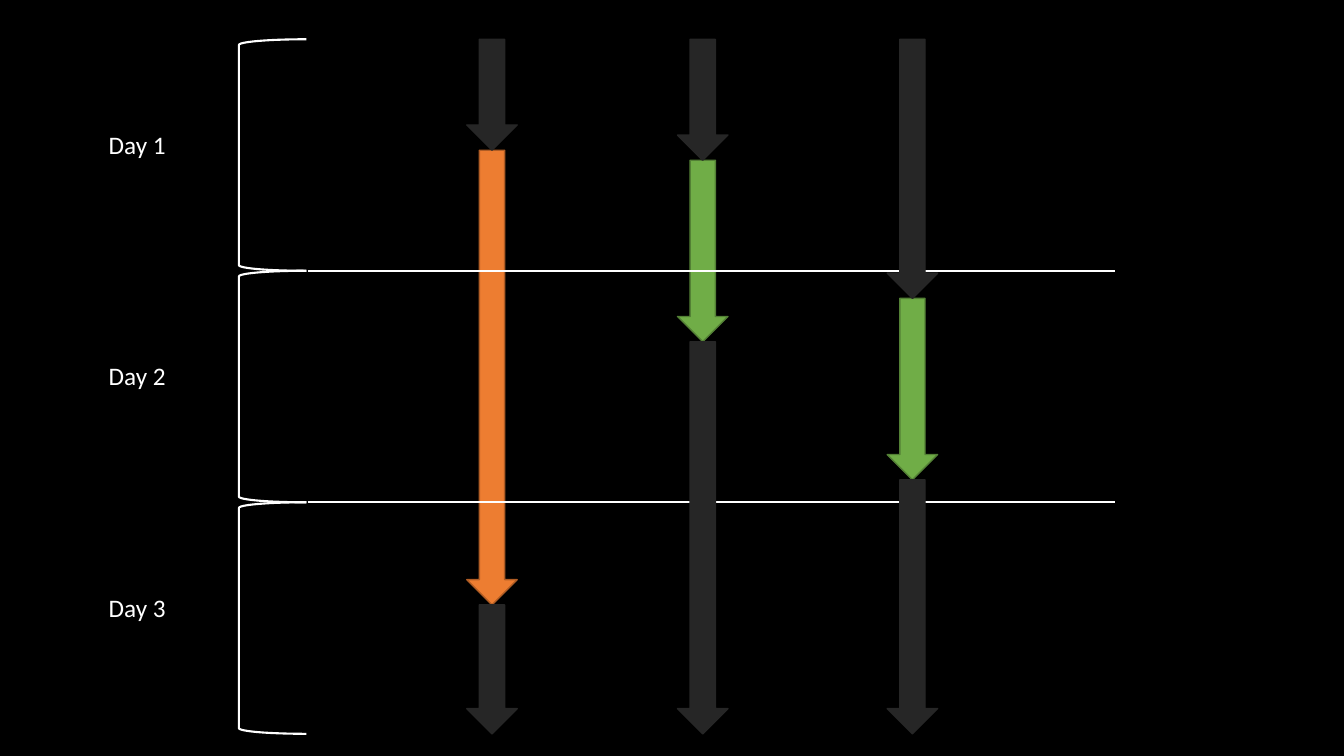
from lxml import etree
from pptx import Presentation
from pptx.dml.color import RGBColor
from pptx.enum.shapes import MSO_CONNECTOR, MSO_SHAPE
from pptx.oxml.ns import qn
from pptx.util import Inches, Pt

WHITE, BLACK, DARK = "FFFFFF", "000000", "262626"
ORANGE, GREEN = ("ED7D31", "AF5C24"), ("70AD47", "538035")
TOP, BOTTOM = 0.39, 7.28
DAY_HEIGHT = (BOTTOM - TOP) / 3
DAYS = ["Day 1", "Day 2", "Day 3"]
ARROW_WIDTH = 0.5
TRACKS = [
    (4.63, 1.49, 6.0, ORANGE),
    (6.72, 1.59, 3.39, GREEN),
    (8.8, 2.96, 4.76, GREEN),
]


def color(hex_value):
    return RGBColor.from_string(hex_value)


def add_outline(line, hex_value, width):
    line.color.rgb = color(hex_value)
    line.width = Pt(width)


def add_bracket(slide, top):
    bracket = slide.shapes.add_shape(
        MSO_SHAPE.LEFT_BRACKET, Inches(2.37), Inches(top), Inches(0.67), Inches(DAY_HEIGHT))
    bracket.shadow.inherit = False
    bracket.fill.background()
    add_outline(bracket.line, WHITE, 1.5)


def add_arrow(slide, left, start, end, fill, outline):
    arrow = slide.shapes.add_shape(
        MSO_SHAPE.DOWN_ARROW, Inches(left), Inches(start), Inches(ARROW_WIDTH), Inches(end - start))
    arrow.shadow.inherit = False
    arrow.fill.solid()
    arrow.fill.fore_color.rgb = color(fill)
    add_outline(arrow.line, outline, 1)


def add_divider(slide, y):
    divider = slide.shapes.add_connector(
        MSO_CONNECTOR.STRAIGHT, Inches(3.05), Inches(y), Inches(11.06), Inches(y))
    add_outline(divider.line, WHITE, 1.5)
    etree.SubElement(divider._element.spPr, qn("a:effectLst"))


def add_label(slide, top, text):
    label = slide.shapes.add_textbox(Inches(0.98), Inches(top), Inches(1.2), Inches(0.62))
    label.text_frame.word_wrap = True
    paragraph = label.text_frame.paragraphs[0]
    paragraph.text = text
    paragraph.font.name = "Calibri"
    paragraph.font.size = Pt(18)
    paragraph.font.color.rgb = color(WHITE)


def main():
    deck = Presentation()
    deck.slide_width, deck.slide_height = Inches(13.33), Inches(7.5)
    slide = deck.slides.add_slide(deck.slide_layouts[6])
    slide.background.fill.solid()
    slide.background.fill.fore_color.rgb = color(BLACK)

    day_tops = [TOP + index * DAY_HEIGHT for index in range(len(DAYS))]
    for top in day_tops:
        add_bracket(slide, top)
    for left, start, end, (fill, outline) in TRACKS:
        add_arrow(slide, left, start, end, fill, outline)
    for top in day_tops[1:]:
        add_divider(slide, top)
    for day, top in zip(DAYS, day_tops):
        add_label(slide, top + 0.84, day)
    for left, start, end, _ in TRACKS:
        add_arrow(slide, left, TOP, start, DARK, DARK)
        add_arrow(slide, left, end, BOTTOM, DARK, DARK)

    deck.save("out.pptx")


main()
